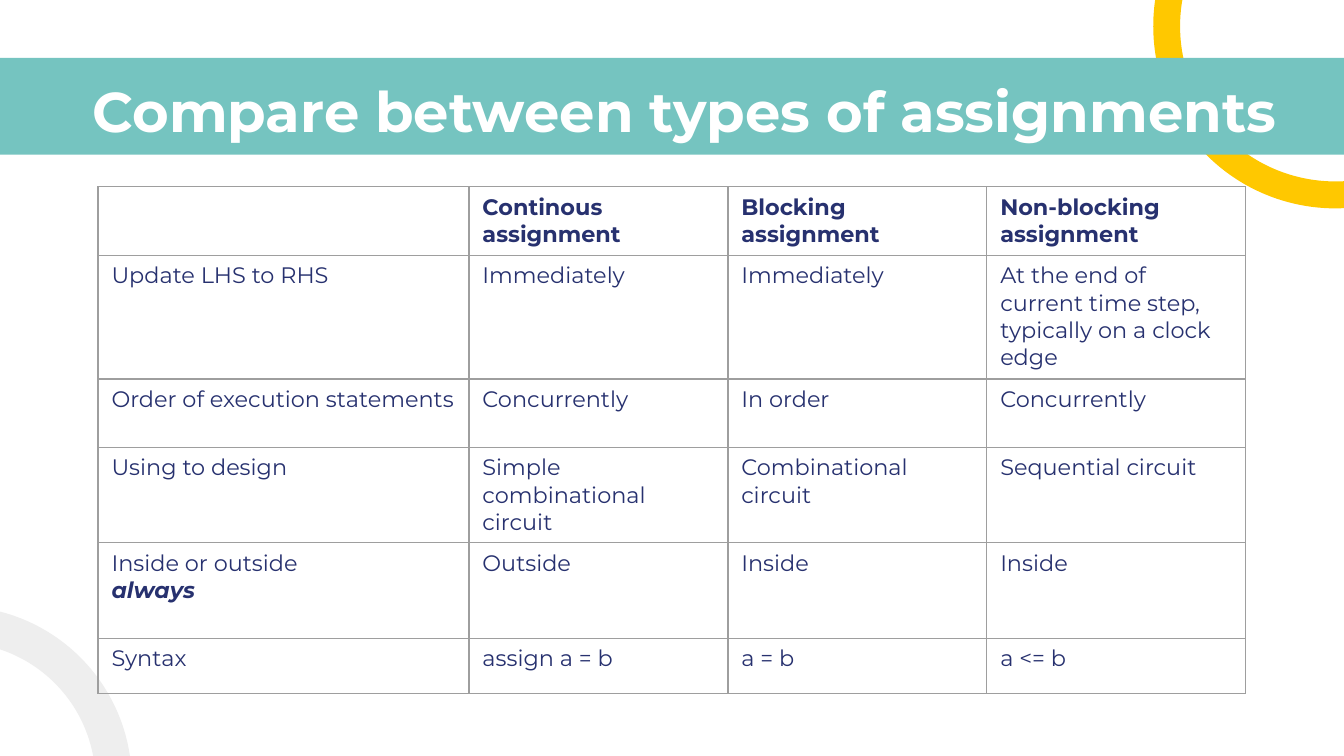
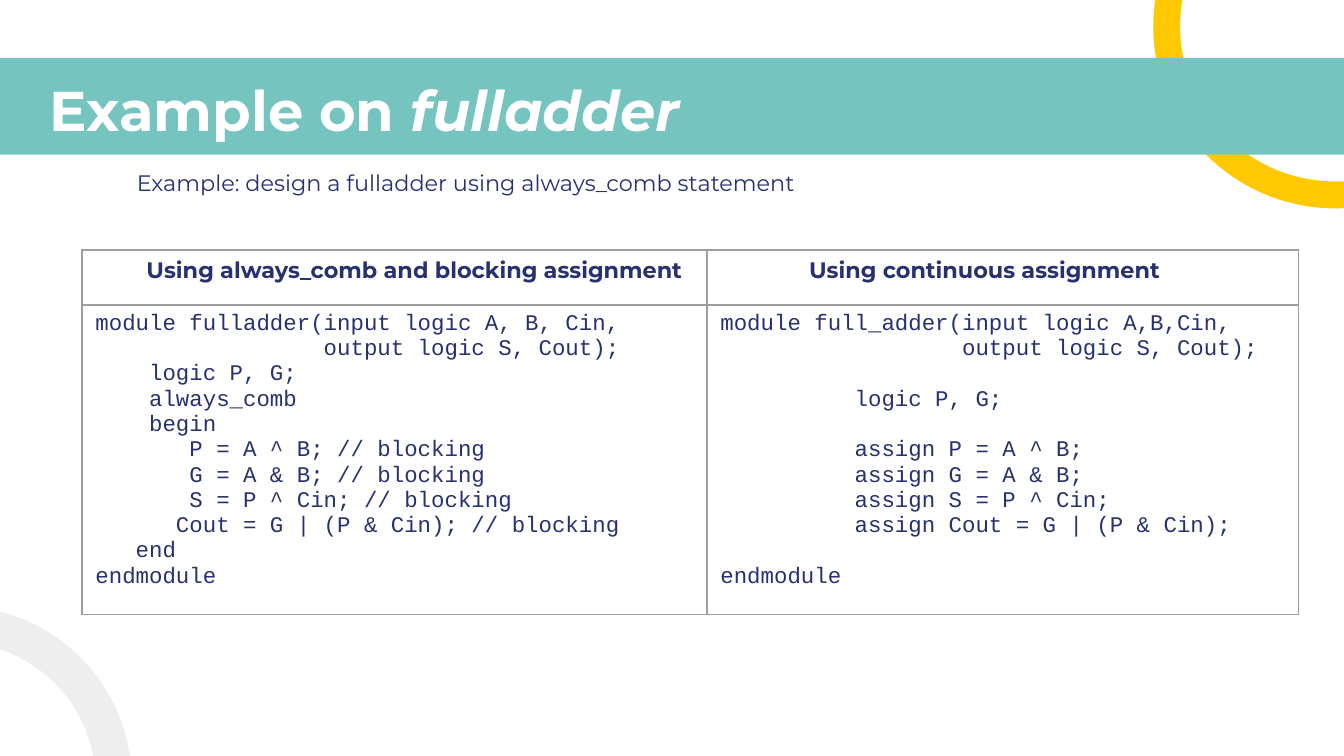
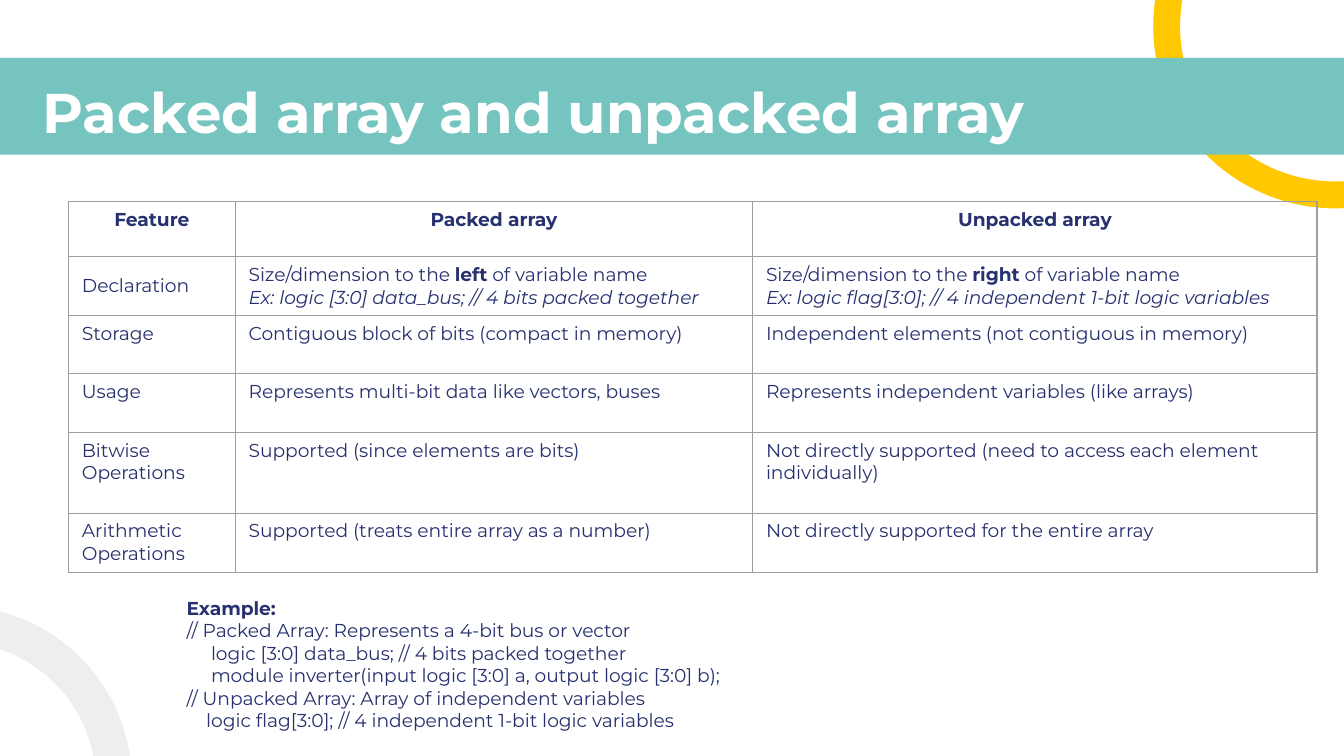
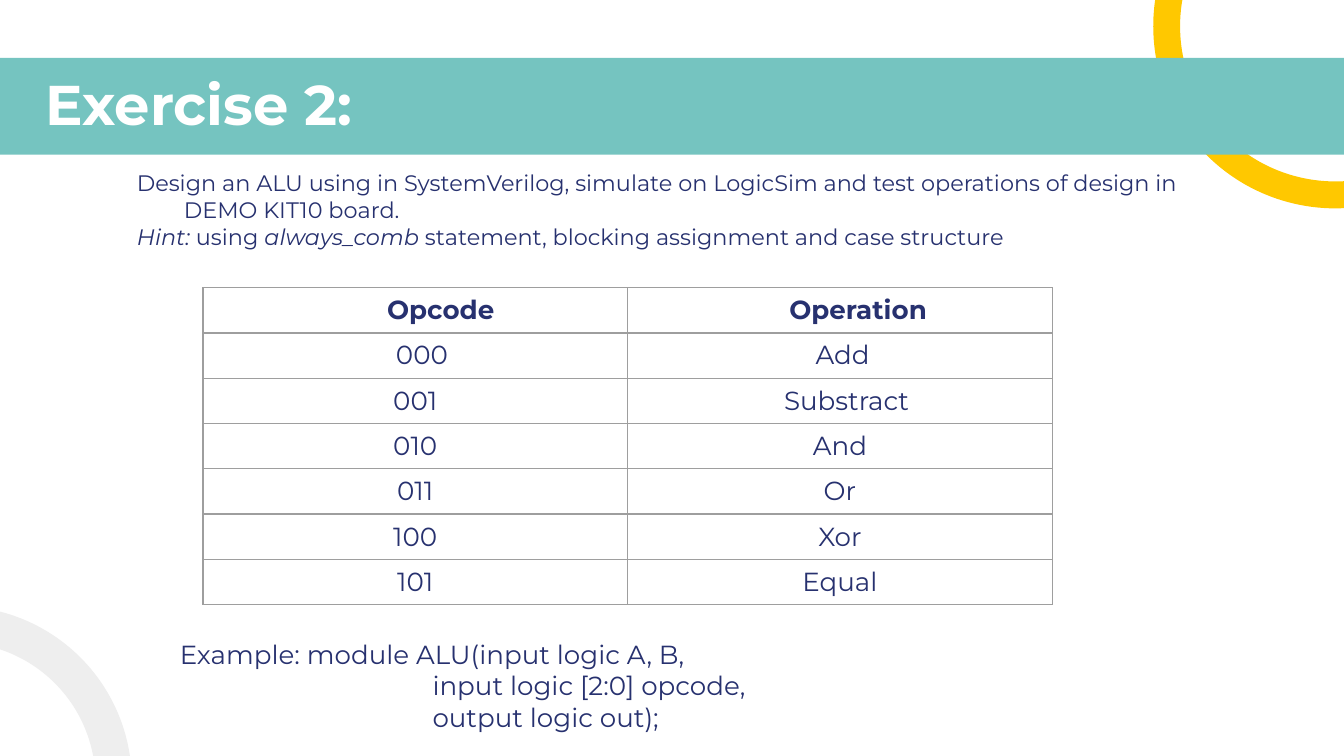
from lxml import etree
from pptx import Presentation
from pptx.dml.color import RGBColor
from pptx.enum.shapes import MSO_SHAPE
from pptx.enum.text import MSO_ANCHOR, PP_ALIGN
from pptx.oxml.ns import qn
from pptx.util import Inches, Pt

BLOCK_ARC = MSO_SHAPE.BLOCK_ARC
RECTANGLE = MSO_SHAPE.RECTANGLE
MIDDLE = MSO_ANCHOR.MIDDLE
CENTER = PP_ALIGN.CENTER

YELLOW, TEAL, PALE = "FFC800", "75C4C0", "EEEEEE"
WHITE, NAVY, GRID = "FFFFFF", "27316F", "9E9E9E"
BODY_FONT, CODE_FONT = "Montserrat", "Courier New"
MARGIN = Inches(0.1)

# Shared decoration: left, top, size, rotation, start angle, end angle, thickness, colour
YELLOW_ARC = (8.58, -1.16, 2.71, 180, 265.07, 12.04, 0.2, YELLOW)
PALE_ARC = (-1.63, 4.51, 2.61, 74.3, 209.7, 278.09, 0.27, PALE)

# Title runs with their left and top
TITLES = [
    (0.59, 0.47, [("Compare between types of assignments", "")]),
    (0.27, 0.46, [("Example on ", ""), ("fulladder", "i")]),
    (0.22, 0.48, [("Packed array and unpacked array", "")]),
    (0.24, 0.42, [("Exercise 2:", "")]),
]


def write_text(text_frame, paragraphs, size, color=NAVY, font=BODY_FONT, bold=False, centered=False):
    """Each paragraph is a string or a list of (text, style) with style letters b and i."""
    text_frame.word_wrap = True
    for index, content in enumerate(paragraphs):
        paragraph = text_frame.paragraphs[0] if index == 0 else text_frame.add_paragraph()
        if centered:
            paragraph.alignment = CENTER
        runs = [(content, "")] if isinstance(content, str) else content
        for text, style in runs:
            run = paragraph.add_run()
            run.text = text
            run.font.name = font
            run.font.size = Pt(size)
            run.font.bold = bold or "b" in style
            run.font.italic = "i" in style
            run.font.color.rgb = RGBColor.from_string(color)


def add_grid(slide, left, top, widths, heights, rows, size, centered_rows=0):
    """Add a plain ruled table with a bold header row."""
    table = slide.shapes.add_table(
        len(rows), len(widths), Inches(left), Inches(top),
        Inches(sum(widths)), Inches(sum(heights))).table
    table.first_row = table.horz_banding = False
    for column, width in zip(table.columns, widths):
        column.width = Inches(width)
    for row_index, contents in enumerate(rows):
        table.rows[row_index].height = Inches(heights[row_index])
        for column_index, content in enumerate(contents):
            cell = table.cell(row_index, column_index)
            cell.fill.background()
            properties = cell._tc.get_or_add_tcPr()
            for position, side in enumerate(("a:lnL", "a:lnR", "a:lnT", "a:lnB")):
                border = etree.Element(qn(side), w=str(Pt(0.75)))
                fill = etree.SubElement(border, qn("a:solidFill"))
                etree.SubElement(fill, qn("a:srgbClr"), val=GRID)
                properties.insert(position, border)
            if content:
                paragraphs = [content] if isinstance(content, str) else content
                write_text(cell.text_frame, paragraphs, size,
                           bold=row_index == 0, centered=row_index < centered_rows)
    return table


presentation = Presentation()
presentation.slide_width = Inches(10)
presentation.slide_height = presentation.slide_width * 9 // 16

# Arcs, band and title on every slide
slides = []
for title_left, title_top, title_runs in TITLES:
    slide = presentation.slides.add_slide(presentation.slide_layouts[6])
    slides.append(slide)
    for arc in (YELLOW_ARC, PALE_ARC):
        left, top, size, rotation, start, end, thickness, color = arc
        shape = slide.shapes.add_shape(
            BLOCK_ARC, Inches(left), Inches(top), Inches(size), Inches(size))
        shape.rotation = rotation
        # Angles are stored in 60000ths of a degree, adjustments in 100000ths
        shape.adjustments[0] = start * 0.6
        shape.adjustments[1] = end * 0.6
        shape.adjustments[2] = thickness / size
        shape.fill.solid()
        shape.fill.fore_color.rgb = RGBColor.from_string(color)
        shape.line.fill.background()
        shape.shadow.inherit = False
        if arc is YELLOW_ARC:
            band = slide.shapes.add_shape(
                RECTANGLE, Inches(-0.17), Inches(0.43), Inches(10.34), Inches(0.72))
            band.fill.solid()
            band.fill.fore_color.rgb = RGBColor.from_string(TEAL)
            band.line.fill.background()
            band.shadow.inherit = False
    title_width = 9.07 if slide is slides[0] else 8.46
    title = slide.shapes.add_textbox(
        Inches(title_left), Inches(title_top), Inches(title_width), Inches(0.63))
    title.text_frame.margin_top = title.text_frame.margin_bottom = MARGIN
    write_text(title.text_frame, [title_runs], 30, color=WHITE, bold=True)

assignment_slide, adder_slide, array_slide, exercise_slide = slides

# Introductions below the band, with a hanging indent
introductions = [
    (adder_slide, ["Example: design a fulladder using always_comb statement"]),
    (exercise_slide, [
        "Design an ALU using in SystemVerilog, simulate on LogicSim and test operations "
        "of design in DEMO KIT10 board.",
        [("Hint:", "i"), (" using ", ""), ("always_comb ", "i"),
         ("statement, blocking assignment and case structure", "")],
    ]),
]
for slide, paragraphs in introductions:
    introduction = slide.shapes.add_textbox(
        Inches(0.77), Inches(1.16), Inches(8.46), Inches(0.55))
    introduction.text_frame.margin_top = introduction.text_frame.margin_bottom = MARGIN
    write_text(introduction.text_frame, paragraphs, 12)
    for paragraph in introduction.text_frame.paragraphs:
        properties = paragraph._p.get_or_add_pPr()
        properties.set("marL", str(Inches(0.5)))
        properties.set("indent", str(Inches(-0.35)))

# Slide 1: assignment types
type_width = (8.54 - 2.76) / 3
add_grid(
    assignment_slide, 0.73, 1.39, [2.76] + [type_width] * 3,
    [0.51, 0.92, 0.51, 0.71, 0.71, 0.41],
    [
        ["", "Continous assignment", "Blocking assignment", ["Non-blocking", "assignment"]],
        ["Update LHS to RHS", "Immediately", "Immediately",
         "At the end of current time step, typically on a clock edge"],
        ["Order of execution statements", "Concurrently", "In order", "Concurrently"],
        ["Using to design", "Simple combinational circuit", "Combinational circuit",
         "Sequential circuit"],
        [["Inside or outside", [("always", "bi")]], "Outside", "Inside", "Inside"],
        ["Syntax", "assign a = b", "a = b", "a <= b"],
    ], 12)

# Slide 2: two versions of the full adder
blocking_code = [
    "module fulladder(input logic A, B, Cin,",
    "                 output logic S, Cout);",
    "    logic P, G;",
    "    always_comb",
    "    begin",
    "       P = A ^ B; // blocking",
    "       G = A & B; // blocking",
    "       S = P ^ Cin; // blocking",
    "      Cout = G | (P & Cin); // blocking",
    "   end",
    "endmodule",
]
continuous_code = [
    "module full_adder(input logic A,B,Cin,",
    "                  output logic S, Cout);",
    "          logic P, G;",
    "          assign P = A ^ B;",
    "          assign G = A & B;",
    "          assign S = P ^ Cin;",
    "          assign Cout = G | (P & Cin);",
    "endmodule",
]
adder_table = add_grid(
    adder_slide, 0.61, 1.86, [4.65, 4.4], [0.41, 2.16],
    [["Using always_comb and blocking assignment", "Using continuous assignment"], ["", ""]], 12)
for column_index, code in enumerate((blocking_code, continuous_code)):
    write_text(adder_table.cell(1, column_index).text_frame, code, 12, font=CODE_FONT)
continuous_lines = adder_table.cell(1, 1).text_frame.paragraphs
for line_index in (1, 2, 6):
    continuous_lines[line_index].space_after = Pt(13.6)

# Slide 3: packed and unpacked arrays
array_table = add_grid(
    array_slide, 0.51, 1.5, [1.24, 3.85, 4.2], [0.41, 0.44, 0.43, 0.44, 0.6, 0.44],
    [
        ["Feature", "Packed array", "Unpacked array"],
        ["Declaration",
         [[("Size/dimension to the ", ""), ("left", "b"), (" of variable name", "")],
          [("Ex: logic [3:0] data_bus; // 4 bits packed together", "i")]],
         [[("Size/dimension to the ", ""), ("right", "b"), (" of variable name", "")],
          [("Ex: logic flag[3:0]; // 4 independent 1-bit logic variables", "i")]]],
        ["Storage", "Contiguous block of bits (compact in memory)",
         "Independent elements (not contiguous in memory)"],
        ["Usage", "Represents multi-bit data like vectors, buses",
         "Represents independent variables (like arrays)"],
        ["Bitwise Operations", "Supported (since elements are bits)",
         "Not directly supported (need to access each element individually)"],
        ["Arithmetic Operations", "Supported (treats entire array as a number)",
         "Not directly supported for the entire array"],
    ], 10, centered_rows=1)
for cell in array_table.rows[1].cells:
    cell.vertical_anchor = MIDDLE

array_example = array_slide.shapes.add_textbox(
    Inches(1.29), Inches(4.39), Inches(6.91), Inches(1.11))
write_text(array_example.text_frame, [
    [("Example:", "b")],
    "// Packed Array: Represents a 4-bit bus or vector",
    "     logic [3:0] data_bus; // 4 bits packed together",
    "     module inverter(input logic [3:0] a, output logic [3:0] b);",
    "// Unpacked Array: Array of independent variables",
    "    logic flag[3:0]; // 4 independent 1-bit logic variables",
], 10)

# Slide 4: operation codes of the ALU
operations = ["Add", "Substract", "And", "Or", "Xor", "Equal"]
opcode_rows = [["Opcode", "Operation"]]
opcode_rows += [[f"{code:03b}", operation] for code, operation in enumerate(operations)]
opcode_table = add_grid(
    exercise_slide, 1.51, 2.14, [3.16, 3.16], [2.36 / len(opcode_rows)] * len(opcode_rows),
    opcode_rows, 14, centered_rows=len(opcode_rows))

alu_example = exercise_slide.shapes.add_textbox(
    Inches(1.24), Inches(4.7), Inches(4.43), Inches(0.81))
write_text(alu_example.text_frame, [
    "Example: module ALU(input logic A, B,",
    "input logic [2:0] opcode,",
    "output logic out);",
], 14)

# Left indents of single paragraphs
indents = [
    (adder_table.cell(0, 0), 0, 0.38),
    (adder_table.cell(0, 1), 0, 0.66),
    (opcode_table.cell(0, 0), 0, 0.38),
    (opcode_table.cell(0, 1), 0, 0.27),
    (opcode_table.cell(1, 0), 0, 0.1),
    (opcode_table.cell(1, 1), 0, 0.04),
    (opcode_table.cell(2, 1), 0, 0.1),
    (alu_example, 1, 1.88),
    (alu_example, 2, 1.88),
]
for holder, paragraph_index, indent in indents:
    paragraph = holder.text_frame.paragraphs[paragraph_index]
    paragraph._p.get_or_add_pPr().set("marL", str(Inches(indent)))

presentation.save("out.pptx")
